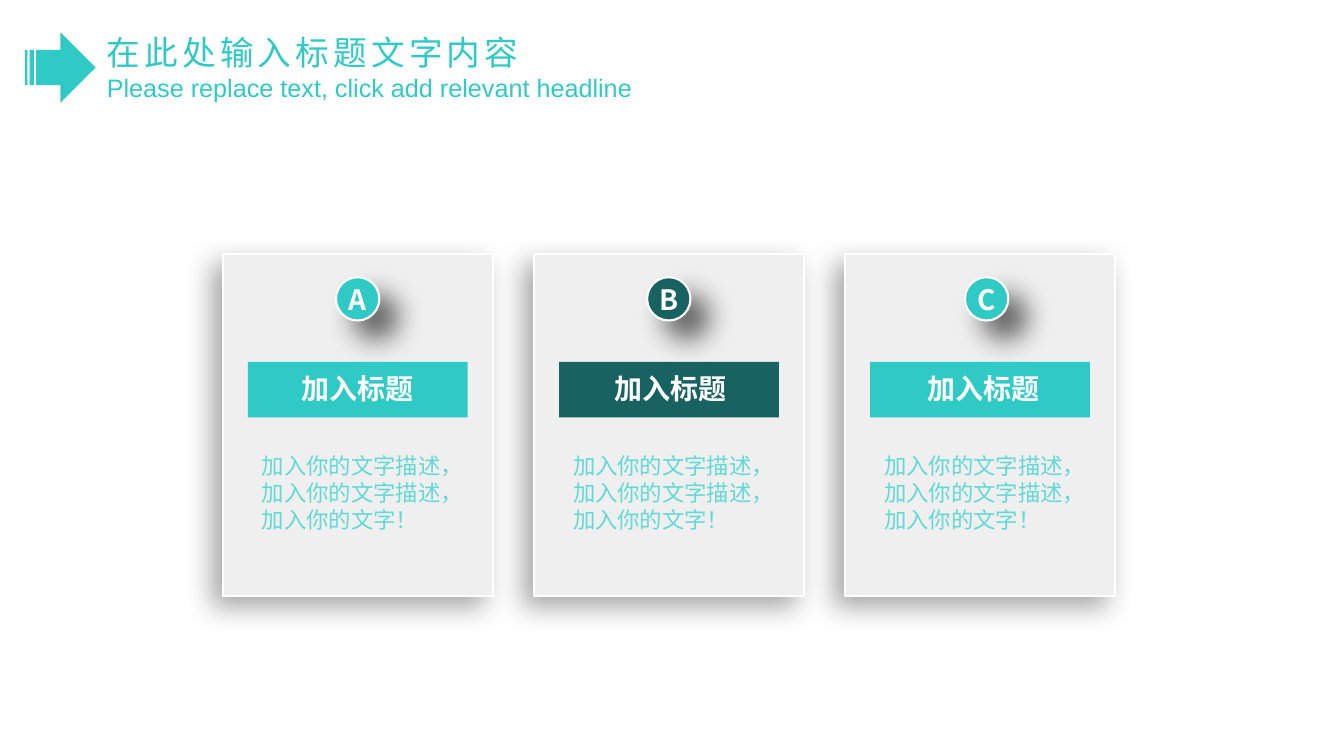
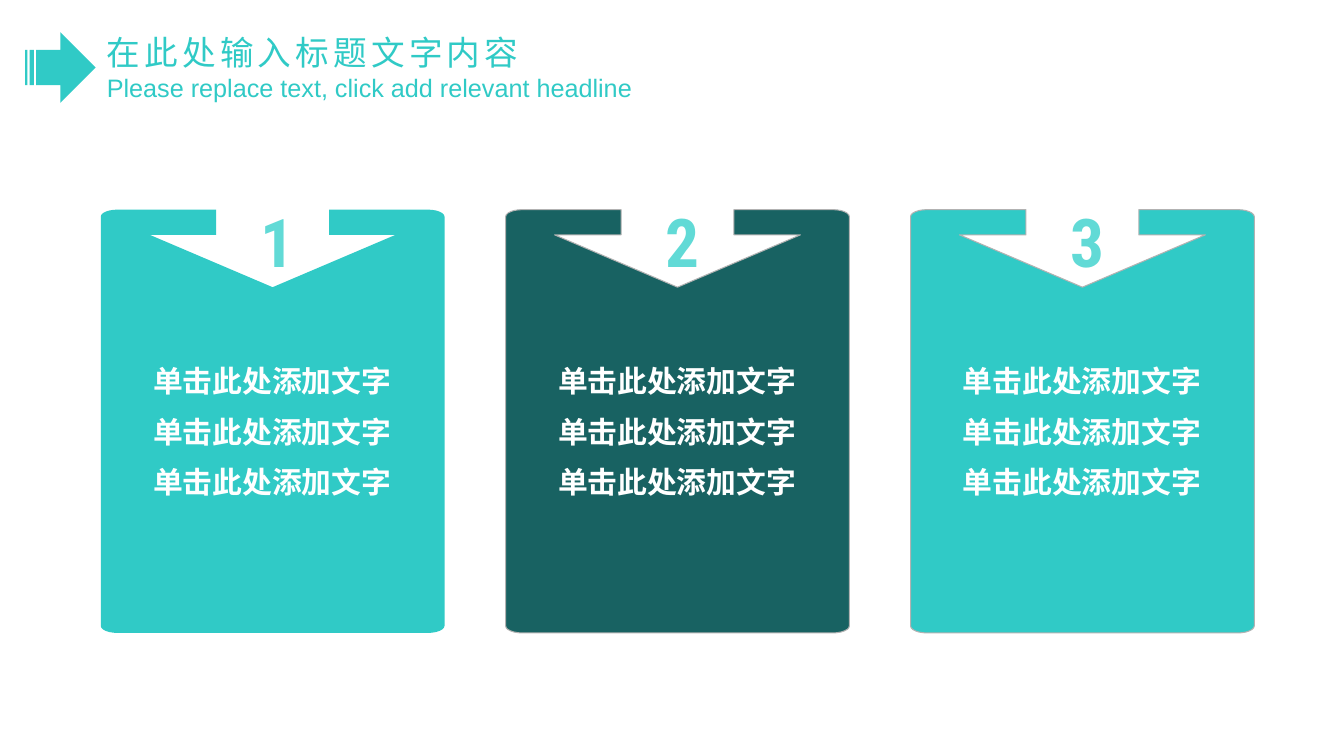
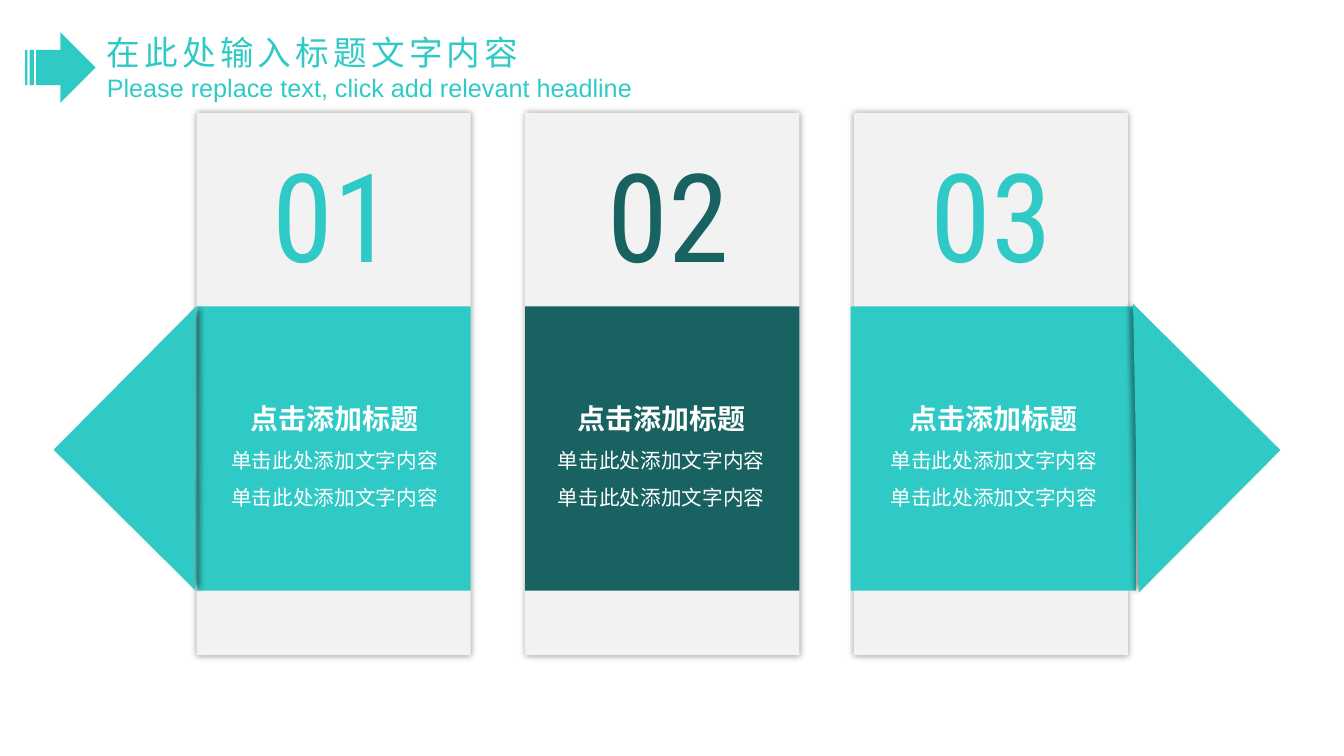
from math import cos, radians, sin

from lxml.etree import SubElement
from pptx import Presentation
from pptx.dml.color import RGBColor
from pptx.enum.shapes import MSO_SHAPE as SHAPE
from pptx.enum.text import MSO_ANCHOR as ANCHOR, MSO_AUTO_SIZE as AUTO, PP_ALIGN as ALIGN
from pptx.oxml.ns import qn
from pptx.util import Emu, Pt

# Slide grid: 40 columns by 30 rows
SLIDE_W, SLIDE_H = 12192000, 6858000
COL, ROW = SLIDE_W / 40, SLIDE_H / 30

COLORS = {
    "teal": "30CAC6", "dark": "186262", "pale": "61DAD6", "white": "FFFFFF",
    "card": "EFEFEF", "panel": "F2F2F2", "outline": "B2B2B2", "shadow": "000000",
}
ACCENTS = ["teal", "dark", "teal"]
CJK, LATIN, DIGITS = "Noto Sans CJK SC", "Arial", "Roboto Condensed"


def rgb(name):
    return RGBColor.from_string(COLORS[name])


def grid(x, y, w, h):
    return Emu(round(x * COL)), Emu(round(y * ROW)), Emu(round(w * COL)), Emu(round(h * ROW))


def paint(sp, fill, line=None, width=0.75, shadow=None):
    """Set fill, outline and an optional (alpha, blur, distance, angle) shadow."""
    sp.shadow.inherit = False
    sp.fill.solid()
    sp.fill.fore_color.rgb = rgb(fill)
    if line:
        sp.line.color.rgb = rgb(line)
        sp.line.width = Pt(width)
    else:
        sp.line.fill.background()
    if shadow:
        alpha, blur, dist, angle = shadow
        effects = sp._element.spPr.find(qn("a:effectLst"))
        outer = SubElement(effects, qn("a:outerShdw"), blurRad=str(Pt(blur)),
                           dist=str(Pt(dist)), dir=str(angle * 60000),
                           algn="ctr", rotWithShape="0")
        color = SubElement(outer, qn("a:srgbClr"), val=COLORS["shadow"])
        SubElement(color, qn("a:alpha"), val=str(alpha * 1000))
    return sp


def add_box(slide, kind, at, fill, rotation=0, **style):
    sp = slide.shapes.add_shape(kind, *grid(*at))
    sp.rotation = rotation
    return paint(sp, fill, **style)


def write(p, text, size, color, font=CJK, bold=False, align=ALIGN.LEFT,
          spacing=None, before=0, tracking=0):
    p.alignment = align
    p.space_before = Pt(before)
    if spacing:
        p.line_spacing = spacing
    r = p.add_run()
    r.text = text
    r.font.size, r.font.bold, r.font.name = Pt(size), bold, font
    r.font.color.rgb = rgb(color)
    rPr = r.font._element
    SubElement(rPr, qn("a:ea"), typeface=font)
    if tracking:
        rPr.set("spc", str(tracking * 100))


def add_text(slide, at, text, size, color, wrap=True, anchor=ANCHOR.TOP, inset_y=0.05, **fmt):
    tf = slide.shapes.add_textbox(*grid(*at)).text_frame
    tf.word_wrap, tf.vertical_anchor = wrap, anchor
    tf.margin_top = tf.margin_bottom = Pt(inset_y * 72)
    write(tf.paragraphs[0], text, size, color, **fmt)
    return tf


def fill_placeholder(ph, at, text, size, anchor, **fmt):
    ph.left, ph.top, ph.width, ph.height = grid(*at)
    tf = ph.text_frame
    tf.auto_size, tf.vertical_anchor = AUTO.NONE, anchor
    p = tf.paragraphs[0]
    pPr = p._p.get_or_add_pPr()
    pPr.set("marL", "0")
    pPr.set("indent", "0")
    SubElement(pPr, qn("a:buNone"))
    write(p, text, size, "teal", **fmt)


def new_slide(prs):
    """Add a slide with the shared heading."""
    slide = prs.slides.add_slide(prs.slide_layouts[1])
    title, subtitle = slide.placeholders
    fill_placeholder(title, (2.88, 0.84, 25.32, 2.16), "在此处输入标题文字内容", 24,
                     ANCHOR.MIDDLE, spacing=1.2, tracking=3)
    fill_placeholder(subtitle, (2.88, 2.68, 29.97, 1.6),
                     "Please replace text, click add relevant headline", 18,
                     ANCHOR.TOP, font=LATIN)
    add_box(slide, SHAPE.STRIPED_RIGHT_ARROW, (0.75, 1.28, 2.1, 2.8), "teal")
    return slide


def notched_card(slide, x, y, w, h, fill, line):
    """Draw a rounded card whose top edge has a cut-out down arrow."""
    rx, ry = 0.5, 0.28
    mid, shaft, head = x + w / 2, 1.68, 3.66
    arrow = [(-shaft, 0), (-shaft, 1), (-head, 1), (0, 3.08), (head, 1), (shaft, 1), (shaft, 0)]
    points = [(mid + dx, y + dy) for dx, dy in arrow]
    corners = [(x + w - rx, y + ry, 270), (x + w - rx, y + h - ry, 0),
               (x + rx, y + h - ry, 90), (x + rx, y + ry, 180)]
    for cx, cy, start in corners:
        for step in range(0, 91, 15):
            a = radians(start + step)
            points.append((cx + rx * cos(a), cy + ry * sin(a)))
    points = [(round(px * COL), round(py * ROW)) for px, py in points]
    outline = slide.shapes.build_freeform(*points[0])
    outline.add_line_segments(points[1:], close=True)
    paint(outline.convert_to_shape(), fill, line=line)


def lettered_cards(prs):
    slide = new_slide(prs)
    for i, (letter, accent) in enumerate(zip("ABC", ACCENTS)):
        x = 6.63 + 9.26 * i
        mid = x + 4.02 + (0.2 if i == 2 else 0)
        add_box(slide, SHAPE.RECTANGLE, (x, 10.08, 8.04, 13.56), "card",
                line="white", width=1.5, shadow=(34, 20, 10, 136))
        # Letter badge
        add_box(slide, SHAPE.OVAL, (mid - 0.65, 11, 1.29, 1.72), accent,
                line="white", width=1.5, shadow=(60, 20, 18, 45))
        add_text(slide, (mid - 2.34, 11, 4.68, 1.76), letter, 20, "white",
                 bold=True, align=ALIGN.CENTER)
        # Heading band and description
        add_box(slide, SHAPE.RECTANGLE, (x + 0.75, 14.36, 6.54, 2.2), accent)
        add_text(slide, (x + 2.04 + 0.06 * i, 14.56, 3.96, 1.76), "加入标题", 20,
                 "white", wrap=False, bold=True)
        add_text(slide, (x + 0.87, 17.96, 6.3, 3.16),
                 "加入你的文字描述，加入你的文字描述，加入你的文字！", 16, "pale", inset_y=0)


def arrow_cards(prs):
    slide = new_slide(prs)
    for i, accent in enumerate(ACCENTS):
        x = 3 + 12.05 * i
        notched_card(slide, x, 8.32, 10.23, 16.8, accent, "outline" if i else None)
        add_text(slide, (x + 4.47, 7.76, 1.3, 1.84), str(i + 1), 48, "pale",
                 wrap=False, font=DIGITS, bold=True)
        style = dict(size=21.3, color="white", bold=True, align=ALIGN.CENTER)
        line = "单击此处添加文字"
        tf = add_text(slide, (x + 0.75, 14.04, 8.7, 6.16), line,
                      anchor=ANCHOR.MIDDLE, **style)
        for _ in range(2):
            write(tf.add_paragraph(), line, before=10.65, **style)


def ribbon_panels(prs):
    slide = new_slide(prs)
    panels = [5.85 + 9.78 * i for i in range(3)]
    for x in panels:
        add_box(slide, SHAPE.RECTANGLE, (x, 4.48, 8.16, 21.52), "panel", shadow=(40, 5, 0, 0))
    # Ribbon bands with folded ends
    bands = [(panels[0], 8.16), (panels[1], 8.16), (25.32, 8.49)]
    for (x, w), accent in zip(bands, ACCENTS):
        add_box(slide, SHAPE.RECTANGLE, (x, 12.16, w, 11.28), accent)
    ends = [((2.85, 13.8, 5.94, 8), 44.8, 0), ((30.72, 13.8, 6.18, 7.96), 224.8, 180)]
    for at, rotation, angle in ends:
        add_box(slide, SHAPE.RIGHT_TRIANGLE, at, "teal", rotation, shadow=(40, 4, 3, angle))
    # Numbers and captions
    centres = [(9.93, 9.96), (19.89, 19.68), (29.51, 29.58)]
    for i, (number_mid, text_mid) in enumerate(centres):
        add_text(slide, (number_mid - 5, 5.32, 10, 6.32), f"{i + 1:02}", 88, ACCENTS[i],
                 font=DIGITS, align=ALIGN.CENTER)
        style = dict(color="white", align=ALIGN.CENTER, spacing=1.5)
        tf = add_text(slide, (text_mid - 3.87, 15.08, 7.74, 5.4), "点击添加标题",
                      size=20, bold=True, **style)
        for _ in range(2):
            write(tf.add_paragraph(), "单击此处添加文字内容", size=14.7, **style)


def main():
    prs = Presentation()
    prs.slide_width, prs.slide_height = Emu(SLIDE_W), Emu(SLIDE_H)
    lettered_cards(prs)
    arrow_cards(prs)
    ribbon_panels(prs)
    prs.save("out.pptx")


if __name__ == "__main__":
    main()
